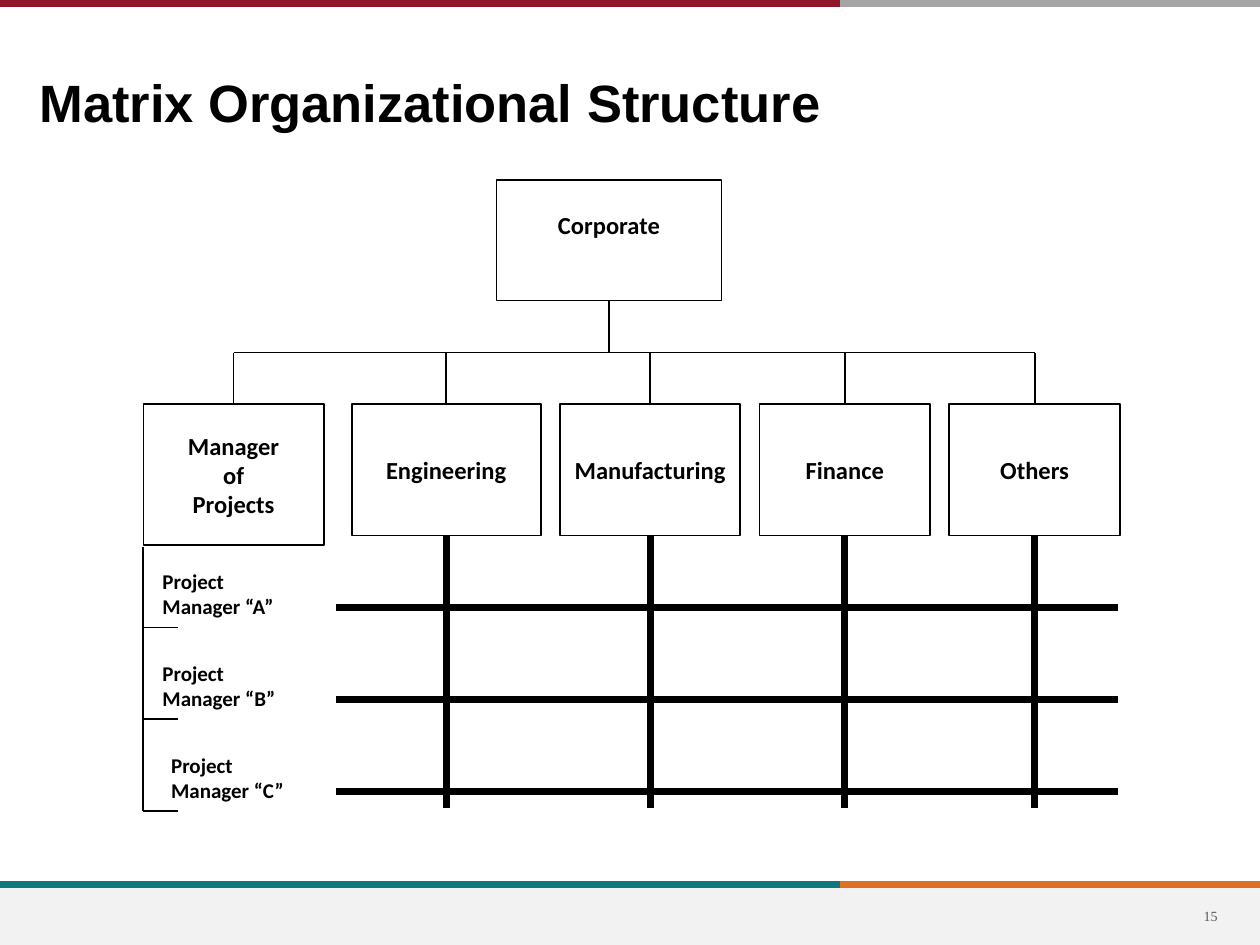
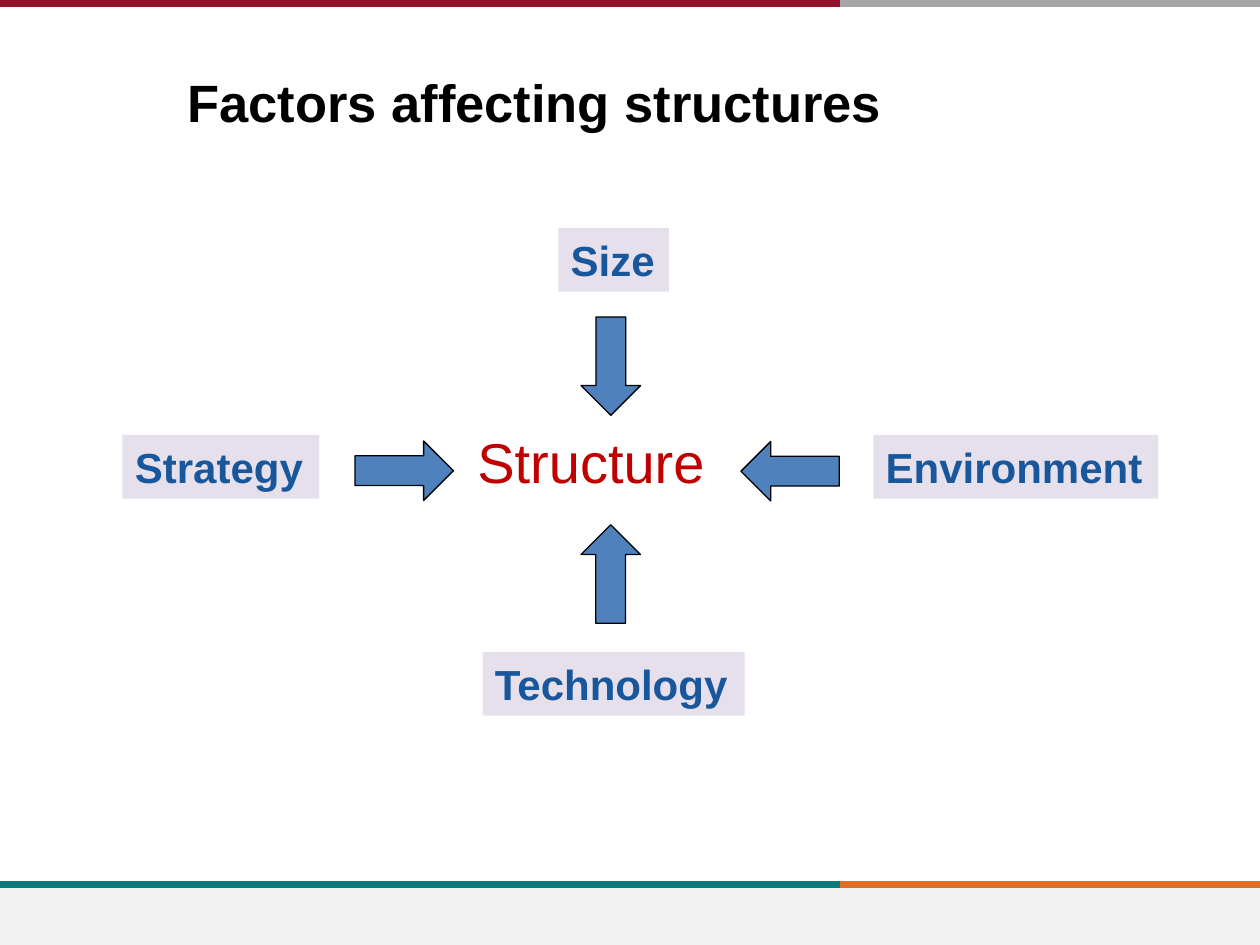
from dataclasses import dataclass

from lxml.etree import SubElement
from pptx import Presentation
from pptx.dml.color import RGBColor
from pptx.enum.shapes import MSO_CONNECTOR, MSO_SHAPE
from pptx.enum.text import MSO_ANCHOR, PP_ALIGN
from pptx.oxml.ns import qn
from pptx.util import Pt


@dataclass(frozen=True)
class Theme:
    ink: str = "000000"
    crimson: str = "90152A"
    silver: str = "A6A6A6"
    teal: str = "0F787D"
    orange: str = "DF7023"
    footer: str = "F2F2F2"
    page_number: str = "595959"
    core: str = "C00000"
    factor: str = "18579B"
    factor_fill: str = "E6E0EC"
    arrow_fill: str = "4F81BD"
    heading_font: str = "Arial"
    chart_font: str = "Calibri"
    number_font: str = "Times New Roman"
    title_size: float = 30
    core_size: float = 32
    factor_size: float = 24
    unit_size: float = 14
    manager_size: float = 12
    number_size: float = 8
    thin: float = 1
    thick: float = 4
    outline: float = 0.75


THEME = Theme()
WIDTH, HEIGHT = 720, 540
BAND_SPLIT = 480


def rgb(color):
    return RGBColor.from_string(color)


def points(*lengths):
    return [Pt(length) for length in lengths]


def write(holder, text, size, font=THEME.heading_font, color=THEME.ink, bold=False,
          align=PP_ALIGN.LEFT, anchor=MSO_ANCHOR.TOP, margins=(7.2, 3.6, 7.2, 3.6)):
    frame = holder.text_frame
    frame.word_wrap = True
    frame.vertical_anchor = anchor
    (frame.margin_left, frame.margin_top,
     frame.margin_right, frame.margin_bottom) = points(*margins)
    for index, line in enumerate(text.split("\n")):
        paragraph = frame.add_paragraph() if index else frame.paragraphs[0]
        paragraph.alignment = align
        run = paragraph.add_run()
        run.text = line
        run.font.size = Pt(size)
        run.font.name = font
        run.font.bold = bold
        run.font.color.rgb = rgb(color)


def add_label(slide, text, place, **style):
    label = slide.shapes.add_textbox(*points(*place))
    write(label, text, **style)


def add_block(slide, place, preset=MSO_SHAPE.RECTANGLE, fill=None, line_width=None):
    block = slide.shapes.add_shape(preset, *points(*place))
    block.shadow.inherit = False
    if fill:
        block.fill.solid()
        block.fill.fore_color.rgb = rgb(fill)
    else:
        block.fill.background()
    if line_width:
        block.line.color.rgb = rgb(THEME.ink)
        block.line.width = Pt(line_width)
    else:
        block.line.fill.background()
    return block


def add_line(slide, start, end, width=THEME.thin, color=THEME.ink):
    line = slide.shapes.add_connector(MSO_CONNECTOR.STRAIGHT, *points(*start, *end))
    line.line.color.rgb = rgb(color)
    line.line.width = Pt(width)
    SubElement(line._element.spPr, qn("a:effectLst"))
    return line


def add_unit(slide, name, place, margins=(7.2, 3.6, 7.2, 3.6)):
    unit = add_block(slide, place, line_width=THEME.thin)
    write(unit, name, THEME.unit_size, font=THEME.chart_font, bold=True,
          align=PP_ALIGN.CENTER, anchor=MSO_ANCHOR.MIDDLE, margins=margins)
    return unit


def add_bands(slide):
    bands = [(2.25, THEME.crimson, THEME.silver), (505.25, THEME.teal, THEME.orange)]
    for y, left_color, right_color in bands:
        add_line(slide, (BAND_SPLIT, y), (WIDTH, y), THEME.thick, right_color)
        add_line(slide, (0, y), (BAND_SPLIT, y), THEME.thick, left_color)
    add_block(slide, (0, 507.5, WIDTH, HEIGHT - 507.5), fill=THEME.footer)


def add_titled_slide(deck, title, align=PP_ALIGN.LEFT):
    slide = deck.slides.add_slide(deck.slide_layouts[5])
    add_bands(slide)
    heading = slide.shapes.title
    heading.left, heading.top, heading.width, heading.height = points(18, 33, 575, 42.5)
    write(heading, title, THEME.title_size, bold=True, align=align,
          margins=(4.5, 6.8, 4.5, 0))
    return slide


def add_departments(slide):
    rail_y, unit_top, matrix_bottom = 201.5, 231, 461.5
    corporate = add_unit(slide, "Corporate", (283.75, 102.75, 128.5, 69),
                         margins=(7.2, 3.6, 7.2, 20.7))
    departments = [
        ("Manager\nof\nProjects", 82, 103, 80.5),
        ("Engineering", 201, 108, 75),
        ("Manufacturing", 320, 103, 75),
        ("Finance", 434, 97.5, 75),
        ("Others", 542.5, 97.5, 75),
    ]
    middles = [left + width / 2 for _, left, width, _ in departments]
    corporate_x = 348
    add_line(slide, (middles[0], rail_y), (middles[-1], rail_y))
    stem = add_line(slide, (corporate_x, 171.75), (corporate_x, rail_y))
    stem.begin_connect(corporate, 2)
    for index, (name, left, width, height) in enumerate(departments):
        unit = add_unit(slide, name, (left, unit_top, width, height))
        middle = middles[index]
        drop = add_line(slide, (middle, rail_y), (middle, unit_top))
        drop.end_connect(unit, 0)
        if index:
            staff = add_line(slide, (middle, unit_top + height),
                             (middle, matrix_bottom), THEME.thick)
            staff.begin_connect(unit, 2)


def add_project_managers(slide):
    trunk_x, row_pitch = 81.75, 52.55
    add_line(slide, (trunk_x, 312.5), (trunk_x, 463.5))
    for row, (letter, label_left) in enumerate([("A", 85.75), ("B", 85.75), ("C", 90.75)]):
        offset = row * row_pitch
        add_label(slide, f"Project\nManager “{letter}”",
                  (label_left, 321.25 + offset, 99.5, 36),
                  size=THEME.manager_size, font=THEME.chart_font, bold=True)
        add_line(slide, (trunk_x, 358.5 + offset), (101.5, 358.5 + offset))
        add_line(slide, (192, 347 + offset), (639, 347 + offset), THEME.thick)


def build_matrix_slide(deck):
    slide = add_titled_slide(deck, "Matrix Organizational Structure")
    add_departments(slide)
    add_project_managers(slide)
    add_label(slide, "15", (673, 509, 37.5, 29), size=THEME.number_size,
              font=THEME.number_font, color=THEME.page_number,
              align=PP_ALIGN.CENTER, anchor=MSO_ANCHOR.MIDDLE)


def add_factor(slide, name, left, top, width):
    factor = add_block(slide, (left, top, width, 36.5), fill=THEME.factor_fill)
    write(factor, name, THEME.factor_size, color=THEME.factor, bold=True)


def add_arrow(slide, center_x, center_y, rotation):
    length, breadth = 56.25, 34
    arrow = add_block(slide, (center_x - length / 2, center_y - breadth / 2, length, breadth),
                      MSO_SHAPE.RIGHT_ARROW, THEME.arrow_fill, THEME.outline)
    arrow.rotation = rotation


def build_factors_slide(deck):
    slide = add_titled_slide(deck, "Factors affecting structures", PP_ALIGN.CENTER)
    add_label(slide, "Structure", (265.75, 240.5, 158.5, 46),
              size=THEME.core_size, color=THEME.core)
    factors = [
        ("Strategy", 70, 248.5, 112.5),
        ("Size", 319, 130.25, 63.25),
        ("Environment", 499, 248.5, 162.75),
        ("Technology", 275.75, 372.5, 149.75),
    ]
    for factor in factors:
        add_factor(slide, *factor)
    for arrow in [(231, 269, 0), (349, 209.25, 90), (451.5, 269.25, 180), (349, 328, 270)]:
        add_arrow(slide, *arrow)


def main():
    deck = Presentation()
    deck.slide_width, deck.slide_height = points(WIDTH, HEIGHT)
    build_matrix_slide(deck)
    build_factors_slide(deck)
    deck.save("out.pptx")


if __name__ == "__main__":
    main()
